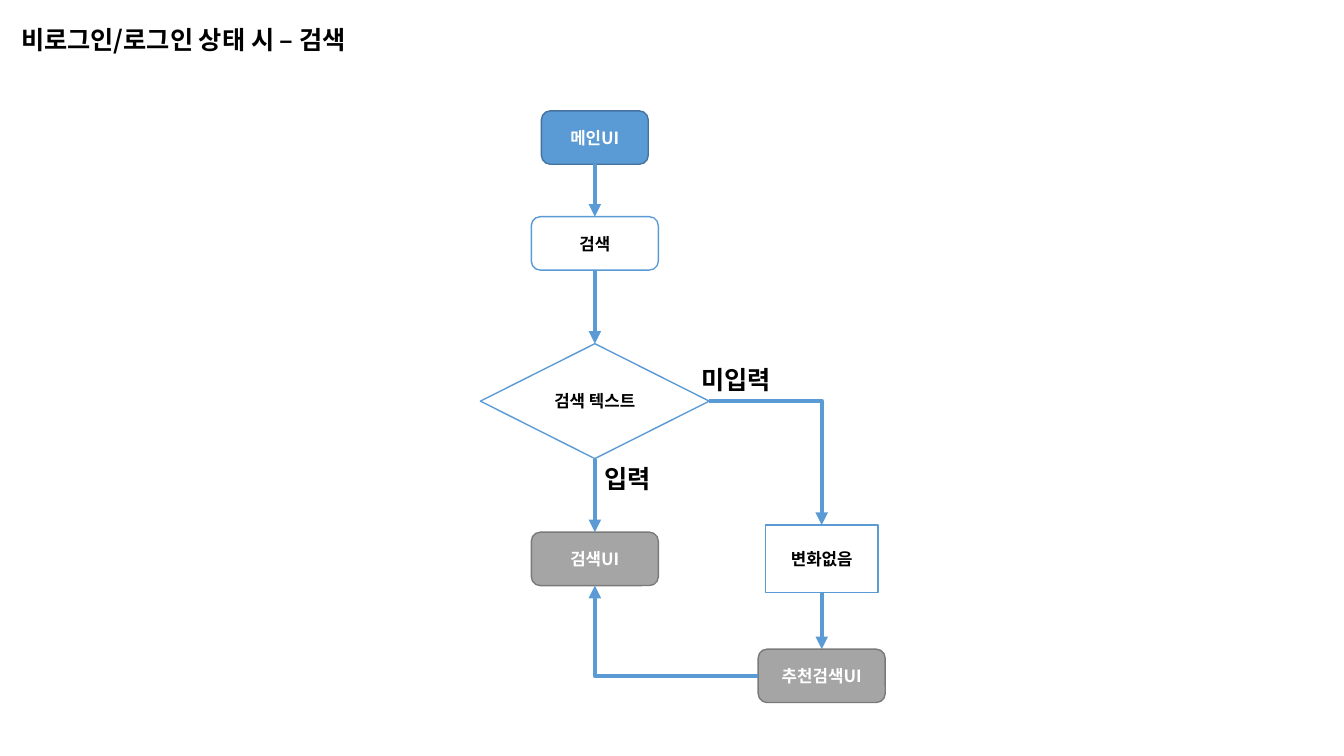
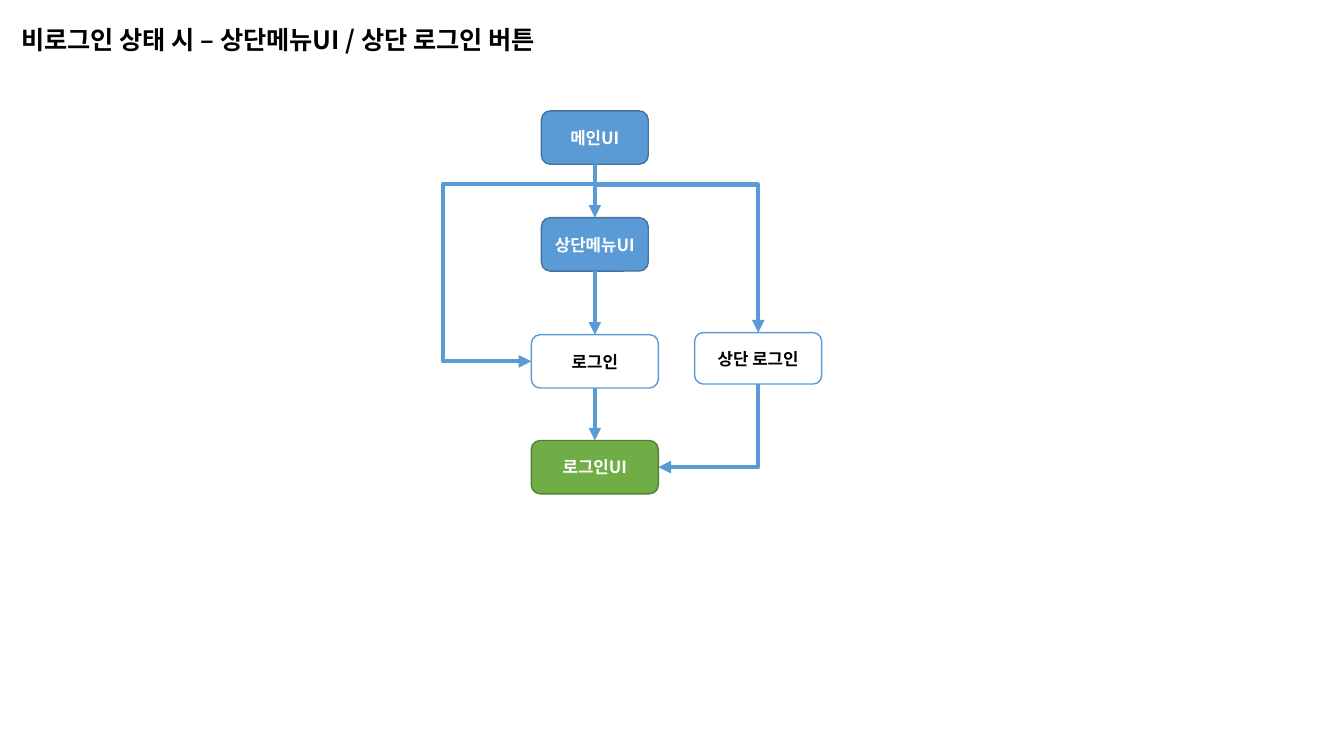
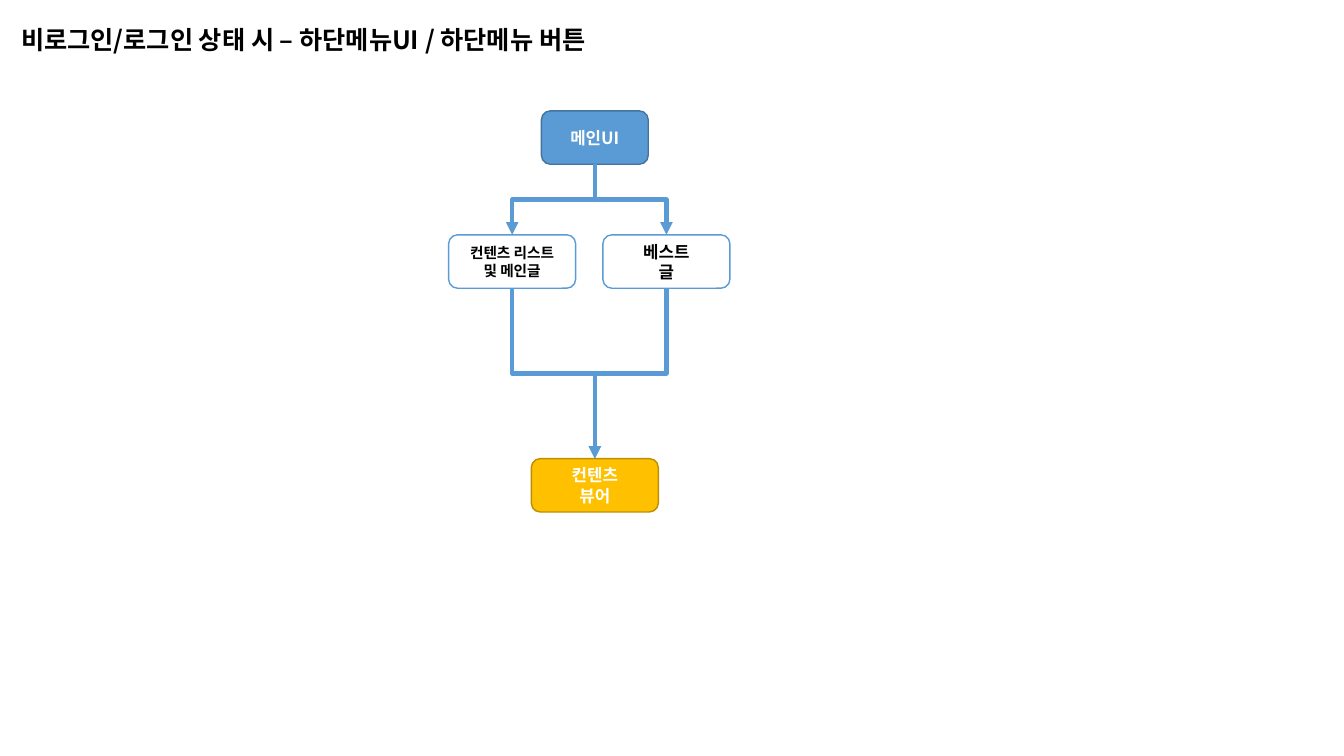
import pptx
import pptx.util
import pptx.dml.color
import pptx.enum.shapes
import pptx.enum.text
import pptx.oxml.ns
from lxml import etree

Inches = pptx.util.Inches
Pt = pptx.util.Pt
qn = pptx.oxml.ns.qn
SHAPE = pptx.enum.shapes.MSO_SHAPE
CONNECTOR = pptx.enum.shapes.MSO_CONNECTOR
ALIGN = pptx.enum.text.PP_ALIGN
ANCHOR = pptx.enum.text.MSO_ANCHOR
AUTO_SIZE = pptx.enum.text.MSO_AUTO_SIZE

COLORS = {
    "black": "000000",
    "white": "FFFFFF",
    "blue": "5B9BD5",
    "blue_edge": "43739E",
    "gray": "A5A5A5",
    "gray_edge": "7A7A7A",
    "green": "70AD47",
    "green_edge": "538035",
    "gold": "FFC000",
    "gold_edge": "BD8E00",
}
TOP, LEFT, BOTTOM, RIGHT = range(4)
DIRECTIONS = {TOP: 270, LEFT: 180, BOTTOM: 90, RIGHT: 0}
CENTER = 5.9


def rgb(name):
    return pptx.dml.color.RGBColor.from_string(COLORS[name])


class FlowDeck:
    font = "Noto Sans CJK KR"

    def __init__(self):
        self.prs = pptx.Presentation()
        self.prs.slide_width = Inches(13.33)
        self.prs.slide_height = Inches(7.5)
        self.s = None

    def slide(self, title, width):
        self.s = self.prs.slides.add_slide(self.prs.slide_layouts[5])
        sp = self.s.shapes.title
        sp.left, sp.top = Inches(0.11), Inches(0.19)
        sp.width, sp.height = Inches(width), Inches(0.4)
        self.add_text(sp, [title], 18, "black", ALIGN.LEFT, ANCHOR.TOP)
        sp.text_frame.auto_size = AUTO_SIZE.SHAPE_TO_FIT_TEXT

    def add_text(self, sp, lines, size, color, align, anchor, wrap=True):
        tf = sp.text_frame
        tf.word_wrap = wrap
        tf.vertical_anchor = anchor
        for i, line in enumerate(lines):
            p = tf.add_paragraph() if i else tf.paragraphs[0]
            p.alignment = align
            r = p.add_run()
            r.text = line
            r.font.size = Pt(size)
            r.font.bold = True
            r.font.name = self.font
            r.font.color.rgb = rgb(color)
            ea = etree.SubElement(r._r.get_or_add_rPr(), qn("a:ea"))
            ea.set("typeface", self.font)

    def label(self, text, left, top, width):
        sp = self.s.shapes.add_textbox(Inches(left), Inches(top), Inches(width), Inches(0.4))
        self.add_text(sp, [text], 18, "black", ALIGN.LEFT, ANCHOR.TOP, wrap=False)
        sp.text_frame.auto_size = AUTO_SIZE.SHAPE_TO_FIT_TEXT

    def node(self, *lines, top, center=CENTER, width=1.26, height=0.53,
             fill="white", size=12, kind=SHAPE.ROUNDED_RECTANGLE):
        sp = self.s.shapes.add_shape(kind, Inches(center - width / 2), Inches(top),
                                     Inches(width), Inches(height))
        sp.shadow.inherit = False
        sp.fill.solid()
        sp.fill.fore_color.rgb = rgb(fill)
        plain = fill == "white"
        sp.line.color.rgb = rgb("blue" if plain else fill + "_edge")
        sp.line.width = Pt(1)
        self.add_text(sp, lines, size, "black" if plain else "white", ALIGN.CENTER, ANCHOR.MIDDLE)
        return sp

    def main_node(self):
        return self.node("메인UI", top=1.1, width=1.06, fill="blue")

    def connector(self, kind, start, start_side, end, end_side):
        c = self.s.shapes.add_connector(kind, 0, 0, 0, 0)
        c.begin_connect(start, start_side)
        c.end_connect(end, end_side)
        c.line.color.rgb = rgb("blue")
        c.line.width = Pt(3)
        etree.SubElement(c.line._get_or_add_ln(), qn("a:tailEnd")).set("type", "triangle")
        etree.SubElement(c._element.spPr, qn("a:effectLst"))
        return c

    def arrow(self, start, end):
        self.connector(CONNECTOR.STRAIGHT, start, BOTTOM, end, TOP)

    def elbow(self, start, start_side, end, end_side, *bends):
        c = self.connector(CONNECTOR.ELBOW, start, start_side, end, end_side)
        dx, dy = c.end_x - c.begin_x, c.end_y - c.begin_y
        mid_x, mid_y = (c.begin_x + c.end_x) // 2, (c.begin_y + c.end_y) // 2
        turn = DIRECTIONS[start_side]
        along, across = {0: (dx, dy), 90: (dy, -dx), 180: (-dx, -dy), 270: (-dy, dx)}[turn]
        xfrm = c._element.spPr.find(qn("a:xfrm"))
        for name in ("flipH", "flipV"):
            xfrm.attrib.pop(name, None)
        if across < 0:
            turn = (turn + 180) % 360
            xfrm.set("flipH", "1")
        xfrm.set("rot", str(turn * 60000))
        c.width, c.height = abs(along), abs(across)
        c.left, c.top = mid_x - c.width // 2, mid_y - c.height // 2

        geom = c._element.spPr.find(qn("a:prstGeom"))
        geom.set("prst", f"bentConnector{len(bends) + 2}")
        guides = geom.find(qn("a:avLst"))
        if guides is None:
            guides = etree.SubElement(geom, qn("a:avLst"))
        for i, bend in enumerate(bends, 1):
            guide = etree.SubElement(guides, qn("a:gd"))
            guide.set("name", f"adj{i}")
            guide.set("fmla", f"val {round(bend * 100000)}")


def search_slide(deck):
    deck.slide("비로그인/로그인 상태 시 – 검색", 4.5)
    main_ui = deck.main_node()
    search = deck.node("검색", top=2.15)
    query = deck.node("검색 텍스트", top=3.41, width=2.27, height=1.14,
                      kind=SHAPE.FLOWCHART_DECISION)
    search_ui = deck.node("검색UI", top=5.28, fill="gray")
    unchanged = deck.node("변화없음", top=5.21, center=8.15, width=1.12, height=0.67,
                          kind=SHAPE.RECTANGLE)
    suggested = deck.node("추천검색UI", top=6.44, center=8.15, fill="gray")
    for start, end in ((main_ui, search), (search, query), (query, search_ui),
                       (unchanged, suggested)):
        deck.arrow(start, end)
    deck.elbow(query, RIGHT, unchanged, TOP)
    deck.elbow(suggested, LEFT, search_ui, BOTTOM)
    deck.label("입력", 5.9, 4.55, 0.71)
    deck.label("미입력", 6.86, 3.57, 0.96)


def login_slide(deck):
    deck.slide("비로그인 상태 시 – 상단메뉴UI / 상단 로그인 버튼", 6.1)
    main_ui = deck.main_node()
    top_menu = deck.node("상단메뉴UI", top=2.16, width=1.06, fill="blue")
    login = deck.node("로그인", top=3.32)
    login_ui = deck.node("로그인UI", top=4.37, fill="green")
    top_login = deck.node("상단 로그인", top=3.3, center=7.52, height=0.51)
    for start, end in ((main_ui, top_menu), (top_menu, login), (login, login_ui)):
        deck.arrow(start, end)
    deck.elbow(main_ui, BOTTOM, login, LEFT, 0.1, 2.39)
    deck.elbow(main_ui, BOTTOM, top_login, TOP, 0.12)
    deck.elbow(top_login, BOTTOM, login_ui, RIGHT)


def content_slide(deck):
    deck.slide("비로그인/로그인 상태 시 – 하단메뉴UI / 하단메뉴 버튼", 6.88)
    main_ui = deck.main_node()
    contents = deck.node("컨텐츠 리스트", "및 메인글", top=2.33, center=5.08, size=10.5)
    best = deck.node("베스트", "글", top=2.33, center=6.61)
    viewer = deck.node("컨텐츠", "뷰어", top=4.55, fill="gold")
    for choice in (contents, best):
        deck.elbow(main_ui, BOTTOM, choice, TOP, 0.5)
        deck.elbow(choice, BOTTOM, viewer, TOP, 0.5)


def main():
    deck = FlowDeck()
    search_slide(deck)
    login_slide(deck)
    content_slide(deck)
    deck.prs.save("out.pptx")


if __name__ == "__main__":
    main()
